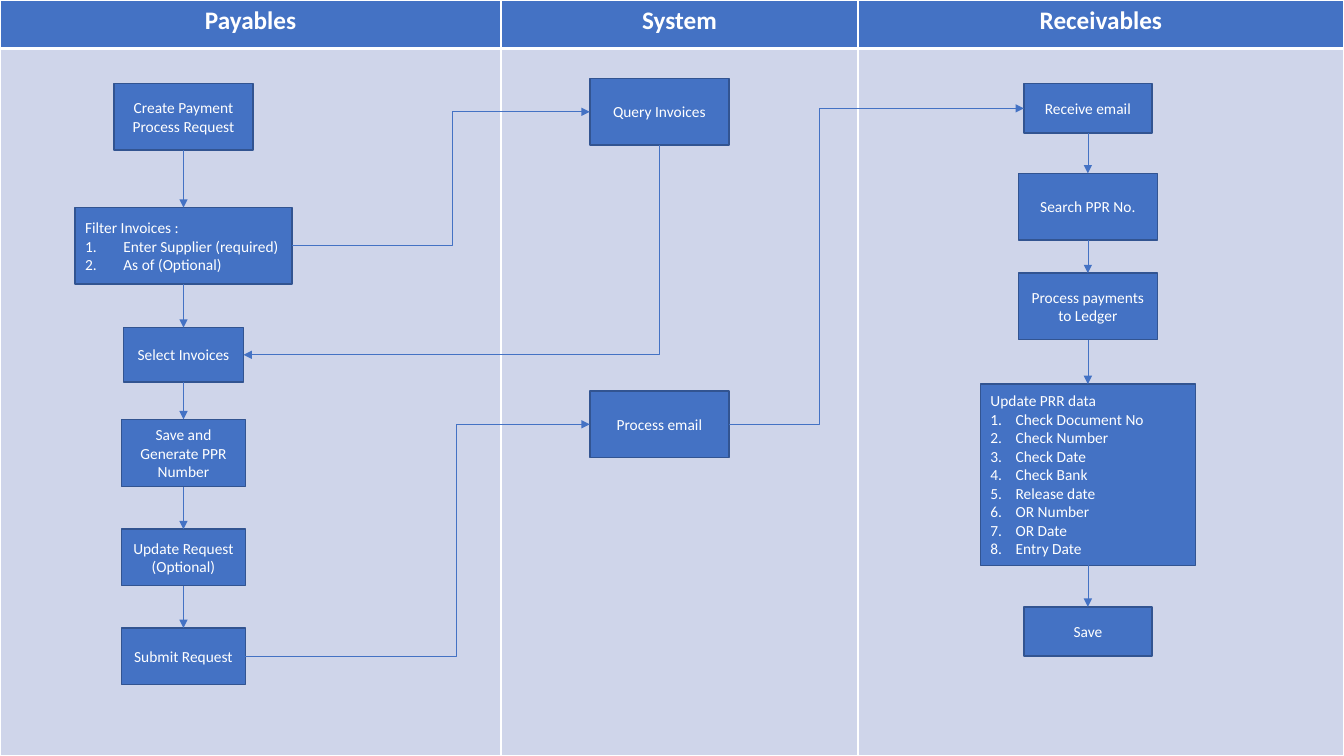
from lxml import etree
from pptx import Presentation
from pptx.dml.color import RGBColor
from pptx.enum.shapes import MSO_CONNECTOR, MSO_SHAPE
from pptx.enum.text import MSO_ANCHOR, PP_ALIGN
from pptx.oxml import parse_xml
from pptx.oxml.ns import nsdecls, qn
from pptx.util import Inches, Pt

STRAIGHT, ELBOW = MSO_CONNECTOR.STRAIGHT, MSO_CONNECTOR.ELBOW
RECTANGLE = MSO_SHAPE.RECTANGLE
CENTER, LEFT_ALIGN = PP_ALIGN.CENTER, PP_ALIGN.LEFT
MIDDLE = MSO_ANCHOR.MIDDLE
TOP, LEFT, BOTTOM, RIGHT = range(4)
BLUE, DARK_BLUE, PALE_BLUE, WHITE = "4472C4", "325491", "CFD5EA", "FFFFFF"


def color(value):
    return RGBColor.from_string(value)


def add_arrow(kind, start, start_side, end, end_side):
    connector = slide.shapes.add_connector(kind, 0, 0, 0, 0)
    connector.begin_connect(start, start_side)
    connector.end_connect(end, end_side)
    connector.line.color.rgb = color(BLUE)
    connector.line.width = Pt(0.5)
    etree.SubElement(connector.line._get_or_add_ln(), qn("a:tailEnd"), type="triangle")
    etree.SubElement(connector._element.spPr, qn("a:effectLst"))
    return connector


presentation = Presentation()
presentation.slide_width = Inches(13.33)
presentation.slide_height = Inches(7.5)
slide = presentation.slides.add_slide(presentation.slide_layouts[6])

lanes = [("Payables", 4.97), ("System", 3.54), ("Receivables", 4.82)]
table = slide.shapes.add_table(2, 3, 0, 0, Inches(13.33), Inches(7.5)).table
table.rows[0].height = Inches(0.48)
table.rows[1].height = Inches(7.02)
for column, (name, width) in enumerate(lanes):
    table.columns[column].width = Inches(width)
    header, body = table.cell(0, column), table.cell(1, column)
    header.text = name
    paragraph = header.text_frame.paragraphs[0]
    paragraph.alignment = CENTER
    paragraph.font.name = "Calibri"
    paragraph.font.size = Pt(18)
    paragraph.font.bold = True
    paragraph.font.color.rgb = color(WHITE)
    for cell, fill, thick_side in ((header, BLUE, "B"), (body, PALE_BLUE, "T")):
        cell.fill.solid()
        cell.fill.fore_color.rgb = color(fill)
        for position, side in enumerate("LRTB"):
            points = 3 if side == thick_side else 1
            border = parse_xml(
                f'<a:ln{side} {nsdecls("a")} w="{Pt(points)}"><a:solidFill>'
                f'<a:srgbClr val="{WHITE}"/></a:solidFill></a:ln{side}>')
            cell._tc.get_or_add_tcPr().insert(position, border)

steps = [
    ("create", 1.82, 0.83, 1.38, 0.66, "Create Payment Process Request"),
    ("filter", 1.82, 2.06, 2.15, 0.76, "Filter Invoices :"),
    ("select", 1.82, 3.25, 1.19, 0.54, "Select Invoices"),
    ("generate", 1.82, 4.16, 1.23, 0.67, "Save and Generate PPR Number"),
    ("update", 1.82, 5.25, 1.23, 0.56, "Update Request (Optional)"),
    ("submit", 1.82, 6.23, 1.23, 0.56, "Submit Request"),
    ("query", 6.54, 0.78, 1.38, 0.66, "Query Invoices"),
    ("email", 6.54, 3.88, 1.38, 0.66, "Process email"),
    ("receive", 10.79, 0.83, 1.27, 0.49, "Receive email"),
    ("search", 10.79, 1.72, 1.38, 0.66, "Search PPR No."),
    ("process", 10.79, 2.71, 1.38, 0.66, "Process payments to Ledger"),
    ("data", 10.79, 3.81, 2.13, 1.8, "Update PRR data"),
    ("save", 10.79, 6.02, 1.27, 0.49, "Save"),
]
numbered_items = {
    "filter": (0.38, ["Enter Supplier (required)", "As of (Optional)"]),
    "data": (0.25, ["Check Document No", "Check Number", "Check Date", "Check Bank",
                    "Release date", "OR Number", "OR Date", "Entry Date"]),
}
boxes = {}
for key, center, top, width, height, title in steps:
    shape = slide.shapes.add_shape(RECTANGLE, Inches(center - width / 2), Inches(top),
                                   Inches(width), Inches(height))
    shape.shadow.inherit = False
    shape.fill.solid()
    shape.fill.fore_color.rgb = color(BLUE)
    shape.line.color.rgb = color(DARK_BLUE)
    shape.line.width = Pt(1)
    indent, items = numbered_items.get(key, (0, []))
    frame = shape.text_frame
    frame.word_wrap = True
    frame.vertical_anchor = MIDDLE
    frame.text = "\n".join([title] + items)
    for number, paragraph in enumerate(frame.paragraphs):
        paragraph.alignment = LEFT_ALIGN if items else CENTER
        paragraph.font.name = "Calibri"
        paragraph.font.size = Pt(11)
        paragraph.font.color.rgb = color(WHITE)
        if number:
            properties = paragraph._p.get_or_add_pPr()
            properties.set("marL", str(Inches(indent)))
            properties.set("indent", str(-Inches(indent)))
            numbering = parse_xml(f'<a:buAutoNum {nsdecls("a")} type="arabicPeriod"/>')
            properties.insert(0, numbering)
    boxes[key] = shape

for flow in (["create", "filter", "select", "generate", "update", "submit"],
             ["receive", "search", "process", "data", "save"]):
    for upper, lower in zip(flow, flow[1:]):
        add_arrow(STRAIGHT, boxes[upper], BOTTOM, boxes[lower], TOP)

for start, end, bend in (("filter", "query", 53800), ("submit", "email", 61200),
                         ("email", "receive", 30700)):
    connector = add_arrow(ELBOW, boxes[start], RIGHT, boxes[end], LEFT)
    guides = connector._element.spPr.find(qn("a:prstGeom")).get_or_add_avLst()
    etree.SubElement(guides, qn("a:gd"), name="adj1", fmla=f"val {bend}")

connector = add_arrow(ELBOW, boxes["query"], BOTTOM, boxes["select"], RIGHT)
across, down = connector.width, connector.height
connector.left += (across - down) // 2
connector.top += (down - across) // 2
connector.width, connector.height = down, across
transform = connector._element.spPr.find(qn("a:xfrm"))
transform.flipH = False
transform.set("rot", str(90 * 60000))
connector._element.spPr.find(qn("a:prstGeom")).set("prst", "bentConnector2")

presentation.save("out.pptx")
